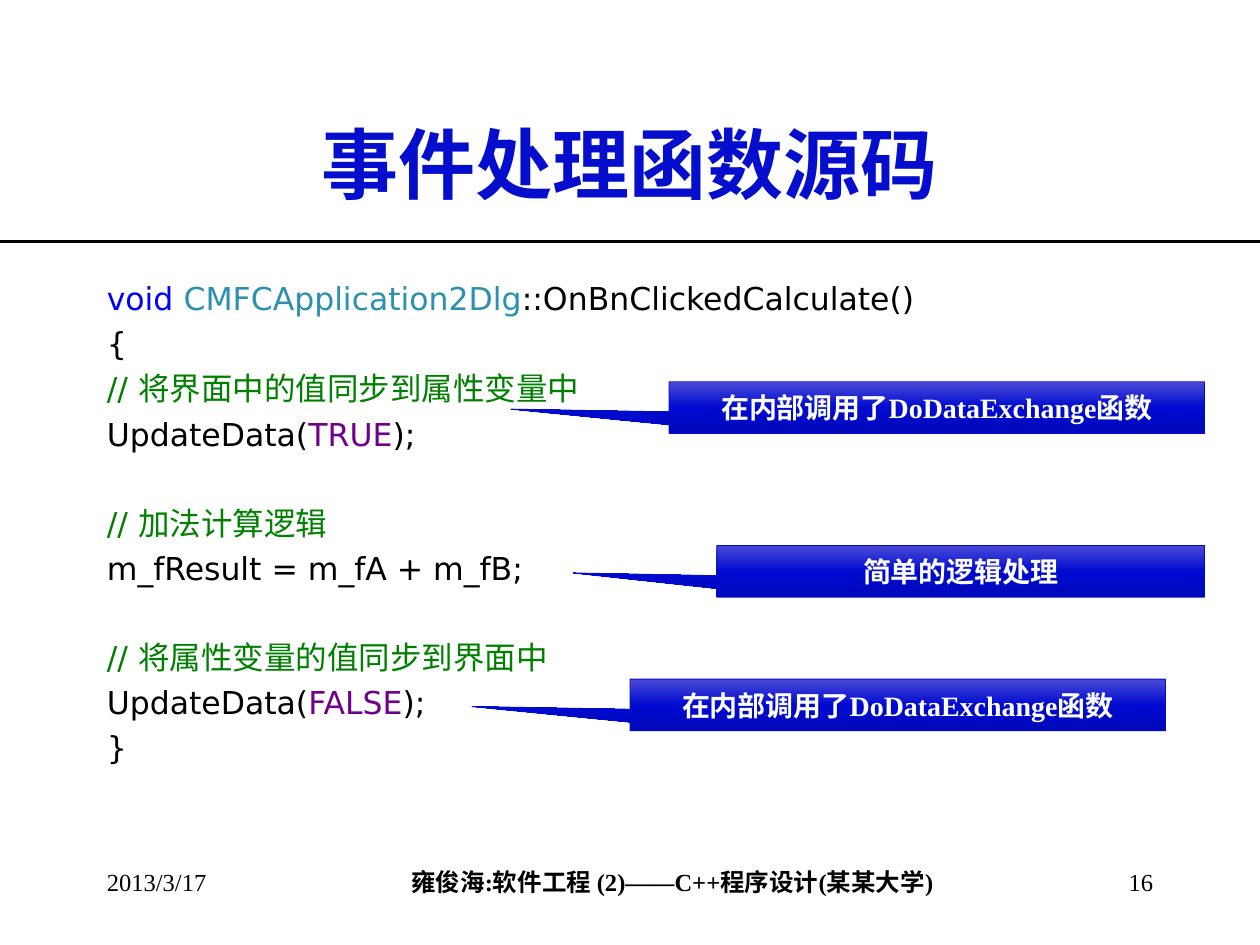
from copy import deepcopy
from pptx import Presentation
from pptx.dml.color import RGBColor
from pptx.enum.shapes import MSO_CONNECTOR, MSO_SHAPE
from pptx.enum.text import MSO_ANCHOR, PP_ALIGN
from pptx.oxml.ns import qn
from pptx.util import Inches, Pt
from lxml.etree import SubElement

BLACK = RGBColor(0x00, 0x00, 0x00)
WHITE = RGBColor(0xFF, 0xFF, 0xFF)
ROYAL = RGBColor(0x04, 0x0E, 0xCC)
KEYWORD = RGBColor(0x00, 0x00, 0xFF)
TYPE = RGBColor(0x2B, 0x91, 0xAF)
COMMENT = RGBColor(0x00, 0x80, 0x00)
MACRO = RGBColor(0x6F, 0x00, 0x8A)
GRADIENT = [
    (0, RGBColor(0x4B, 0x4B, 0xD6)),
    (0.5, RGBColor(0x00, 0x0A, 0xD0)),
    (1, RGBColor(0x00, 0x09, 0xB9)),
]

CODE = [
    (False, [("void", KEYWORD), (" ", BLACK), ("CMFCApplication2Dlg", TYPE),
             ("::OnBnClickedCalculate()", BLACK)]),
    (False, [("{", BLACK)]),
    (False, [("// 将界面中的值同步到属性变量中", COMMENT)]),
    (False, [("UpdateData(", BLACK), ("TRUE", MACRO), (");", BLACK)]),
    (True, [("// 加法计算逻辑", COMMENT)]),
    (False, [("m_fResult = m_fA + m_fB;", BLACK)]),
    (True, [("// 将属性变量的值同步到界面中", COMMENT)]),
    (False, [("UpdateData(", BLACK), ("FALSE", MACRO), (");", BLACK)]),
    (False, [("}", BLACK)]),
]
EXCHANGE = "在内部调用了DoDataExchange函数"
CALLOUTS = [
    (63.72, 36.36, 51, EXCHANGE),
    (60, 64.68, 51, EXCHANGE),
    (68.28, 51.96, 46.44, "简单的逻辑处理"),
]


class SlideBuilder:
    serif = "Times New Roman"
    code_font = "DejaVu Sans"
    cell = Inches(1) / 12
    line_gap = 4.2
    block_gap = 29.4

    def __init__(self, deck):
        self.slide = deck.slides.add_slide(deck.slide_layouts[6])

    def grid(self, *cells):
        return [round(count * self.cell) for count in cells]

    def style(self, span, size, color, bold=False, font=None):
        span.font.name = font or self.serif
        span.font.size = Pt(size)
        span.font.bold = bold
        span.font.color.rgb = color

    def set_text(self, frame, text, size, color, align, bold):
        frame.word_wrap = True
        para = frame.paragraphs[0]
        para.text = text
        para.alignment = align
        self.style(para.runs[0], size, color, bold)

    def text(self, area, text, size=14, color=BLACK, align=PP_ALIGN.LEFT,
             bold=False, anchor=MSO_ANCHOR.TOP):
        box = self.slide.shapes.add_textbox(*self.grid(*area))
        box.text_frame.vertical_anchor = anchor
        self.set_text(box.text_frame, text, size, color, align, bold)
        return box

    def rule(self, row, columns):
        line = self.slide.shapes.add_connector(
            MSO_CONNECTOR.STRAIGHT, *self.grid(0, row, columns, row))
        line.line.color.rgb = BLACK
        line.line.width = Pt(2.25)
        SubElement(line._element.spPr, qn("a:effectLst"))

    def code(self, area, lines):
        frame = self.slide.shapes.add_textbox(*self.grid(*area)).text_frame
        frame.word_wrap = True
        for index, (starts_block, pieces) in enumerate(lines):
            para = frame.add_paragraph() if index else frame.paragraphs[0]
            gap = self.block_gap if starts_block else self.line_gap
            para.space_before = Pt(gap if index else 0)
            for text, color in pieces:
                span = para.add_run()
                span.text = text
                self.style(span, 18, color, font=self.code_font)

    def callout(self, left, top, width, text):
        shape = self.slide.shapes.add_shape(
            MSO_SHAPE.RECTANGULAR_CALLOUT, *self.grid(left, top, width, 4.92))
        shape.shadow.inherit = False
        shape.adjustments[0] = -0.795
        shape.adjustments[1] = 0.031
        shape.fill.gradient()
        shape.fill.gradient_angle = 270
        stop_list = shape._element.spPr.find(".//" + qn("a:gsLst"))
        stop_list.append(deepcopy(stop_list[-1]))
        for stop, (position, color) in zip(shape.fill.gradient_stops, GRADIENT):
            stop.position = position
            stop.color.rgb = color
        shape.line.color.rgb = ROYAL
        shape.line.width = Pt(0.5)
        shape.text_frame.vertical_anchor = MSO_ANCHOR.MIDDLE
        self.set_text(shape.text_frame, text, 16, WHITE, PP_ALIGN.CENTER, True)


def main():
    deck = Presentation()
    deck.slide_width, deck.slide_height = Inches(10), Inches(7.5)
    page = SlideBuilder(deck)
    footer = page.text((24.6, 82, 78.84, 4),
                       "雍俊海:软件工程 (2)——C++程序设计(某某大学)",
                       align=PP_ALIGN.CENTER, bold=True)
    footer.text_frame.margin_left = footer.text_frame.margin_right = 0
    page.rule(23, 120)
    page.text((9, 8, 102, 15), "事件处理函数源码", 44, ROYAL,
              PP_ALIGN.CENTER, True, MSO_ANCHOR.MIDDLE)
    page.code((9, 26, 102, 54), CODE)
    page.text((9, 82, 25, 6), "2013/3/17")
    page.text((86, 82, 25, 6), "16", align=PP_ALIGN.RIGHT)
    for callout in CALLOUTS:
        page.callout(*callout)
    deck.save("out.pptx")


if __name__ == "__main__":
    main()
